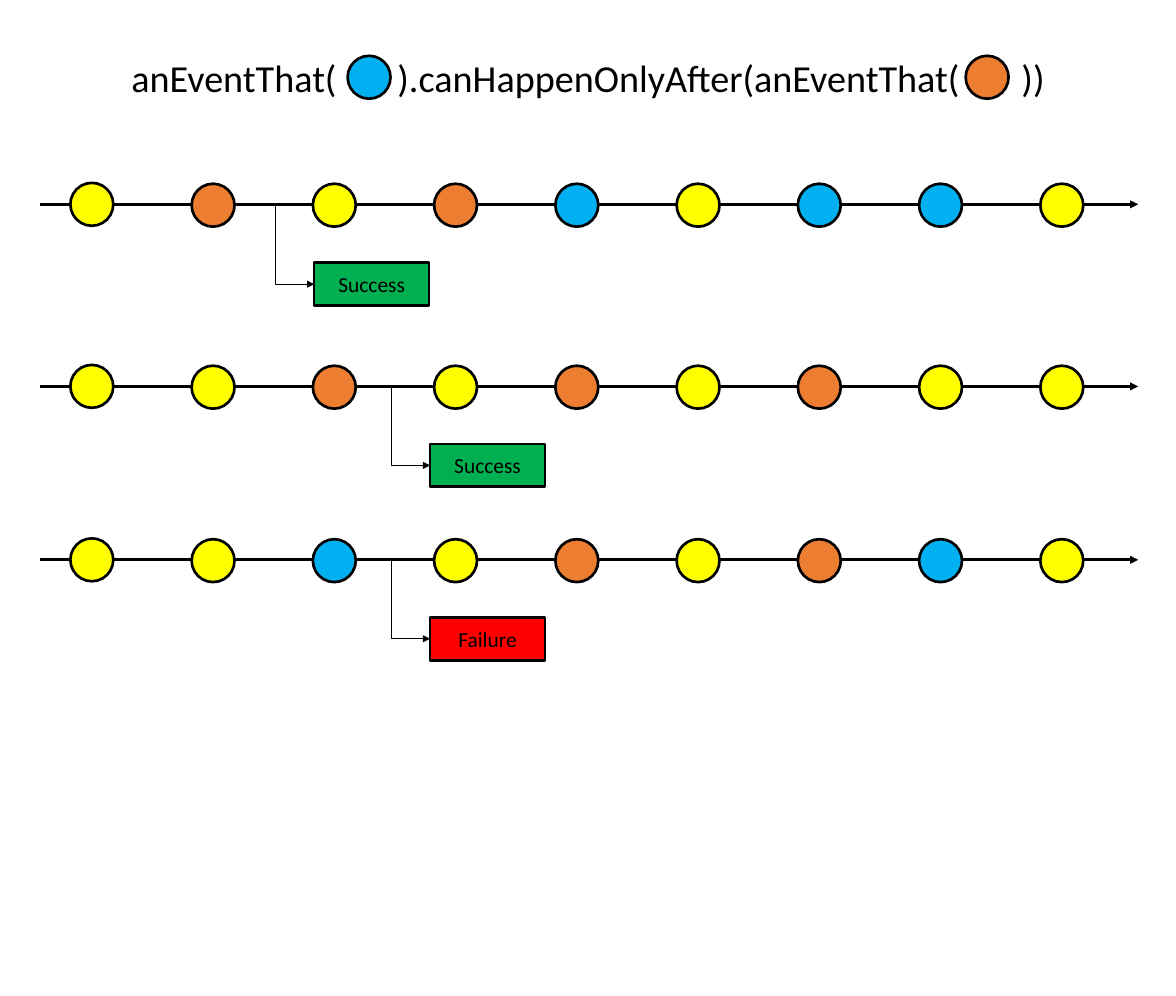
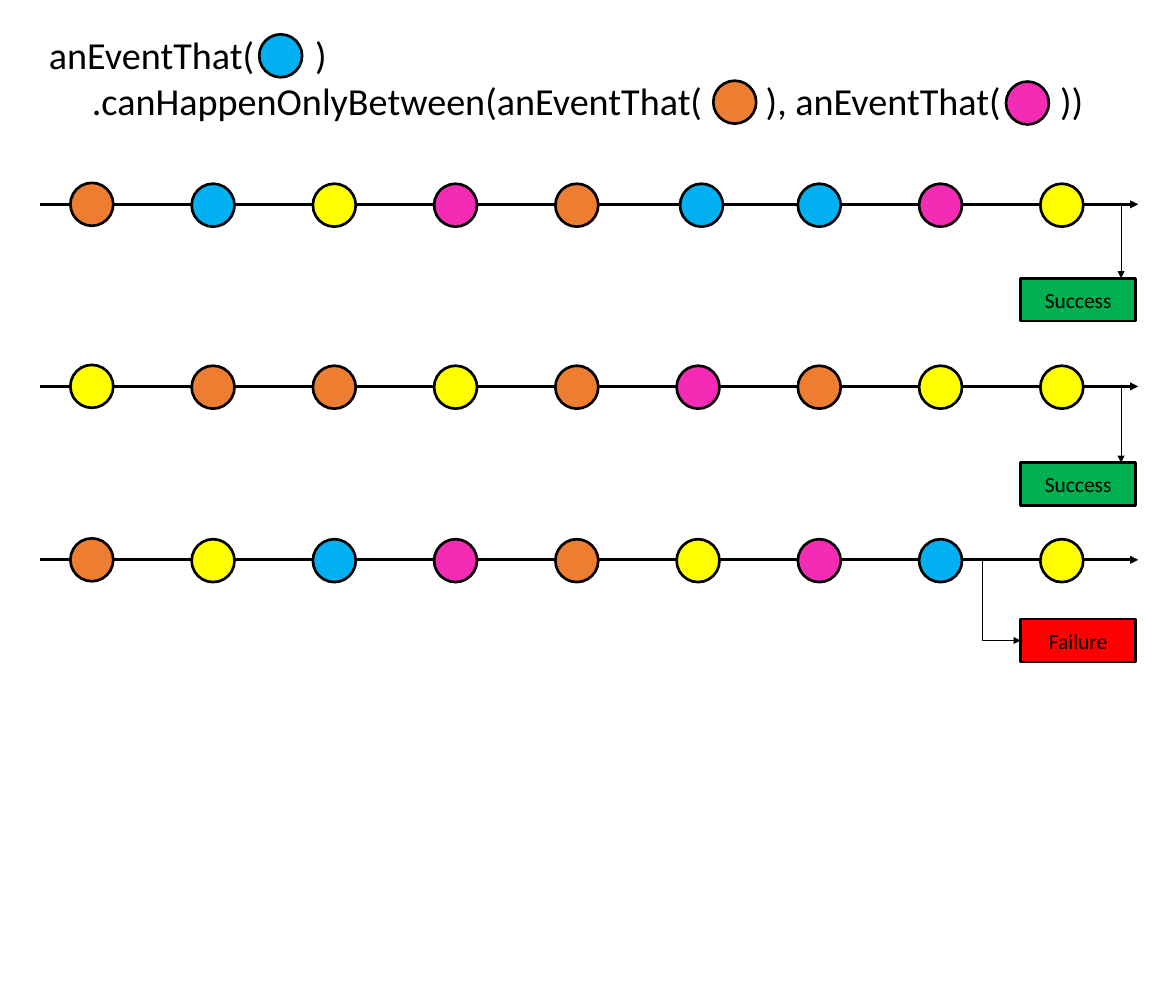
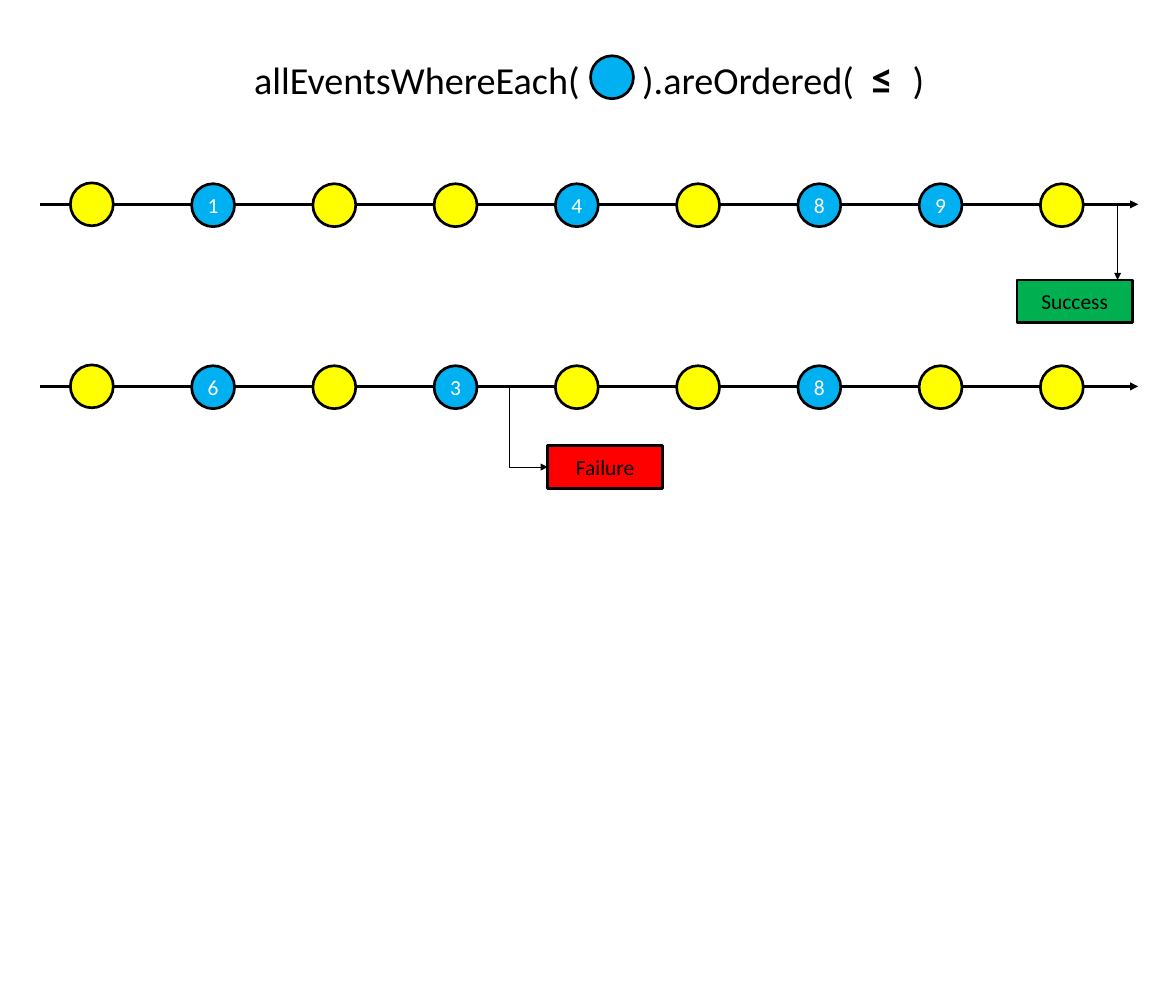
from dataclasses import dataclass

from lxml import etree
from pptx import Presentation
from pptx.dml.color import RGBColor
from pptx.enum.shapes import MSO_CONNECTOR, MSO_SHAPE
from pptx.enum.text import MSO_ANCHOR, MSO_AUTO_SIZE, PP_ALIGN
from pptx.oxml.ns import qn
from pptx.shapes.autoshape import Shape
from pptx.shapes.connector import Connector
from pptx.slide import Slide
from pptx.text.text import Font
from pptx.util import Inches, Pt

STRAIGHT, ELBOW = MSO_CONNECTOR.STRAIGHT, MSO_CONNECTOR.ELBOW
OVAL, RECTANGLE = MSO_SHAPE.OVAL, MSO_SHAPE.RECTANGLE
MIDDLE, NO_AUTOFIT = MSO_ANCHOR.MIDDLE, MSO_AUTO_SIZE.NONE
LEFT, CENTER = PP_ALIGN.LEFT, PP_ALIGN.CENTER
TITLE_ONLY = 5


@dataclass(frozen=True)
class Theme:
    font: str = "Calibri"
    black: str = "000000"
    white: str = "FFFFFF"
    yellow: str = "FFFF00"
    blue: str = "00B0F0"
    orange: str = "ED7D31"
    pink: str = "F32BB5"
    green: str = "00B050"
    red: str = "FF0000"
    title_size: float = 32
    operator_size: float = 36
    label_size: float = 18
    title_border: float = 1.5
    outline: float = 2.25
    thin_line: float = 0.5


THEME = Theme()

SLIDE_WIDTH, SLIDE_HEIGHT = 13.7, 11.6
AXIS_LEFT, AXIS_RIGHT = 0.47, 13.26
TITLE_TOP, TITLE_HEIGHT = 0.28, 1.23
CIRCLE = 0.5
FIRST_EVENT, LAST_EVENT = 0.82, 12.12
AXES = (2.38, 4.5, 6.52)
BOX_WIDTH, BOX_HEIGHT = 1.34, 0.5
BEND_RUN, BEND_DROP = 0.45, 0.93
DROP_OFFSET, DROP_LENGTH = 1.17, 0.88


@dataclass(frozen=True)
class Event:
    color: str
    label: str = ""
    shift: float = 0


@dataclass(frozen=True)
class Verdict:
    text: str
    color: str
    left: float
    top: float
    bent: bool = True


@dataclass(frozen=True)
class Timeline:
    events: tuple[Event, ...]
    verdict: Verdict


@dataclass(frozen=True)
class TitleRun:
    text: str
    operator: bool = False


@dataclass(frozen=True)
class TitleLine:
    runs: tuple[TitleRun, ...]
    tabs: tuple[float, ...]


@dataclass(frozen=True)
class Marker:
    color: str
    left: float
    top: float


@dataclass(frozen=True)
class Diagram:
    title_inset: float
    title: tuple[TitleLine, ...]
    markers: tuple[Marker, ...]
    timelines: tuple[Timeline, ...]


def success(left: float, top: float, bent: bool = True) -> Verdict:
    return Verdict("Success", THEME.green, left, top, bent)


def failure(left: float, top: float) -> Verdict:
    return Verdict("Failure", THEME.red, left, top)


def numbered(label: str) -> Event:
    return Event(THEME.blue, label)


Y, B, O, P = (Event(color) for color in (THEME.yellow, THEME.blue, THEME.orange, THEME.pink))

DIAGRAMS = (
    Diagram(
        1.06,
        (TitleLine((TitleRun("anEventThat(\t).canHappenOnlyAfter(anEventThat(\t))"),), (3.1, 10.37)),),
        (Marker(THEME.blue, 4.05, 0.65), Marker(THEME.orange, 11.25, 0.65)),
        (
            Timeline((Y, O, Y, O, B, Y, B, B, Y), success(3.66, 3.06)),
            Timeline((Y, Y, O, Y, O, Y, O, Y, Y), success(5.01, 5.17)),
            Timeline((Y, Y, B, Y, O, Y, O, B, Y), failure(5.01, 7.19)),
        ),
    ),
    Diagram(
        0.1,
        (
            TitleLine((TitleRun("anEventThat(\t)"),), (3.1,)),
            TitleLine(
                (TitleRun("\t.canHappenOnlyBetween(anEventThat(\t), anEventThat(\t))"),),
                (0.5, 8.35, 11.78),
            ),
        ),
        (
            Marker(THEME.blue, 3.02, 0.4),
            Marker(THEME.pink, 11.72, 0.95),
            Marker(THEME.orange, 8.31, 0.94),
        ),
        (
            Timeline(
                (O, B, Y, P, O, Event(THEME.blue, shift=0.04), B, P, Y),
                success(11.89, 3.24, bent=False),
            ),
            Timeline((Y, O, O, Y, O, P, O, Y, Y), success(11.89, 5.39, bent=False)),
            Timeline((O, Y, B, P, O, Y, P, B, Y), failure(11.89, 7.21)),
        ),
    ),
    Diagram(
        2.49,
        (
            TitleLine(
                (
                    TitleRun("allEventsWhereEach(\t).areOrdered(\t"),
                    TitleRun("≤", operator=True),
                    TitleRun("\t)"),
                ),
                (4.52, 7.19, 7.67),
            ),
        ),
        (Marker(THEME.blue, 6.88, 0.65),),
        (
            Timeline(
                (Y, numbered("1"), Y, Y, numbered("4"), Y, numbered("8"), numbered("9"), Y),
                success(11.85, 3.26, bent=False),
            ),
            Timeline(
                (Y, numbered("6"), Y, numbered("3"), Y, Y, numbered("8"), Y, Y),
                failure(6.38, 5.19),
            ),
        ),
    ),
)


def style_font(font: Font, size: float, color: str, bold: bool = False) -> None:
    font.name = THEME.font
    font.size = Pt(size)
    font.bold = bold
    font.color.rgb = RGBColor.from_string(color)


def paint(shape: Shape, fill: str, border: str, width: float) -> None:
    shape.shadow.inherit = False
    shape.fill.solid()
    shape.fill.fore_color.rgb = RGBColor.from_string(fill)
    shape.line.color.rgb = RGBColor.from_string(border)
    shape.line.width = Pt(width)


def add_label(shape: Shape, text: str, color: str) -> None:
    text_frame = shape.text_frame
    text_frame.text = text
    text_frame.vertical_anchor = MIDDLE
    paragraph = text_frame.paragraphs[0]
    paragraph.alignment = CENTER
    style_font(paragraph.runs[0].font, THEME.label_size, color)


def add_circle(slide: Slide, color: str, left: float, top: float, label: str = "") -> None:
    circle = slide.shapes.add_shape(
        OVAL, Inches(left), Inches(top), Inches(CIRCLE), Inches(CIRCLE)
    )
    paint(circle, color, THEME.black, THEME.outline)
    if label:
        add_label(circle, label, THEME.white)


def add_arrow(
    slide: Slide,
    start: tuple[float, float],
    end: tuple[float, float],
    width: float,
    kind: MSO_CONNECTOR = STRAIGHT,
) -> Connector:
    arrow = slide.shapes.add_connector(
        kind, Inches(start[0]), Inches(start[1]), Inches(end[0]), Inches(end[1])
    )
    arrow.line.color.rgb = RGBColor.from_string(THEME.black)
    arrow.line.width = Pt(width)
    properties = arrow._element.spPr
    etree.SubElement(properties.find(qn("a:ln")), qn("a:tailEnd"), type="triangle")
    etree.SubElement(properties, qn("a:effectLst"))
    return arrow


def add_bent_arrow(slide: Slide, end_x: float, end_y: float) -> None:
    center_x, center_y = end_x - BEND_RUN / 2, end_y - BEND_DROP / 2
    arrow = add_arrow(
        slide,
        (center_x + BEND_DROP / 2, center_y - BEND_RUN / 2),
        (center_x - BEND_DROP / 2, center_y + BEND_RUN / 2),
        THEME.thin_line,
        ELBOW,
    )
    properties = arrow._element.spPr
    properties.find(qn("a:xfrm")).set("rot", str(270 * 60000))
    properties.find(qn("a:prstGeom")).set("prst", "bentConnector2")


def add_verdict(slide: Slide, verdict: Verdict) -> None:
    box = slide.shapes.add_shape(
        RECTANGLE,
        Inches(verdict.left),
        Inches(verdict.top),
        Inches(BOX_WIDTH),
        Inches(BOX_HEIGHT),
    )
    paint(box, verdict.color, THEME.black, THEME.outline)
    add_label(box, verdict.text, THEME.black)
    if verdict.bent:
        add_bent_arrow(slide, verdict.left, verdict.top + BOX_HEIGHT / 2)
    else:
        drop_x = verdict.left + DROP_OFFSET
        add_arrow(
            slide, (drop_x, verdict.top - DROP_LENGTH), (drop_x, verdict.top), THEME.thin_line
        )


def add_timeline(slide: Slide, timeline: Timeline, axis: float) -> None:
    add_arrow(slide, (AXIS_LEFT, axis), (AXIS_RIGHT, axis), THEME.outline)
    step = (LAST_EVENT - FIRST_EVENT) / (len(timeline.events) - 1)
    for index, event in enumerate(timeline.events):
        top = axis - (0.24 if index else 0.25)
        add_circle(slide, event.color, FIRST_EVENT + index * step + event.shift, top, event.label)
    add_verdict(slide, timeline.verdict)


def add_title(slide: Slide, diagram: Diagram) -> None:
    title = slide.shapes.title
    title.left, title.top = Inches(AXIS_LEFT), Inches(TITLE_TOP)
    title.width, title.height = Inches(AXIS_RIGHT - AXIS_LEFT), Inches(TITLE_HEIGHT)
    paint(title, THEME.white, THEME.white, THEME.title_border)
    text_frame = title.text_frame
    text_frame.auto_size = NO_AUTOFIT
    text_frame.vertical_anchor = MIDDLE
    text_frame.margin_left = Inches(diagram.title_inset)
    text_frame.margin_right = 0
    for index, line in enumerate(diagram.title):
        paragraph = text_frame.add_paragraph() if index else text_frame.paragraphs[0]
        paragraph.alignment = LEFT
        tab_list = etree.SubElement(paragraph._p.get_or_add_pPr(), qn("a:tabLst"))
        for position in line.tabs:
            etree.SubElement(tab_list, qn("a:tab"), pos=str(Inches(position)), algn="l")
        for part in line.runs:
            run = paragraph.add_run()
            run.text = part.text
            size = THEME.operator_size if part.operator else THEME.title_size
            style_font(run.font, size, THEME.black, part.operator)


def main() -> None:
    presentation = Presentation()
    presentation.slide_width = Inches(SLIDE_WIDTH)
    presentation.slide_height = Inches(SLIDE_HEIGHT)
    for diagram in DIAGRAMS:
        slide = presentation.slides.add_slide(presentation.slide_layouts[TITLE_ONLY])
        add_title(slide, diagram)
        for marker in diagram.markers:
            add_circle(slide, marker.color, marker.left, marker.top)
        for timeline, axis in zip(diagram.timelines, AXES):
            add_timeline(slide, timeline, axis)
    presentation.save("out.pptx")


main()
